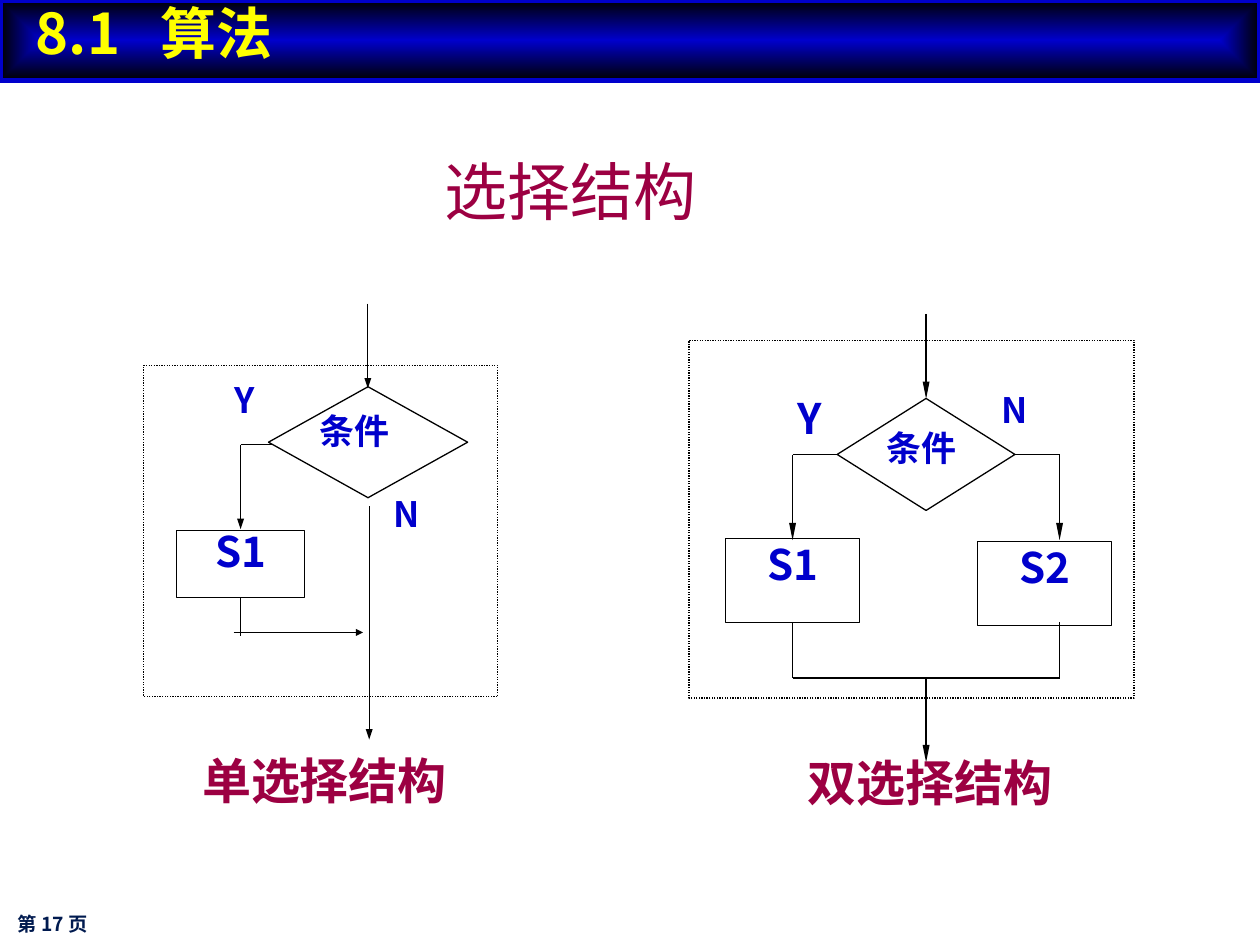
from dataclasses import dataclass
from lxml.etree import SubElement
from pptx import Presentation
from pptx.dml.color import RGBColor
from pptx.enum.dml import MSO_LINE
from pptx.enum.shapes import MSO_CONNECTOR, MSO_SHAPE
from pptx.enum.text import MSO_ANCHOR, PP_ALIGN
from pptx.oxml.ns import qn
from pptx.util import Pt


@dataclass(frozen=True)
class Theme:
    sans: str = "Noto Sans CJK SC"
    head: str = "Noto Sans CJK JP"
    blue: str = "0000CC"
    wine: str = "9C0042"
    navy: str = "001A4F"
    gold: str = "FFFF00"
    black: str = "000000"
    small: int = 11
    label: int = 20
    step: int = 24
    note: int = 28
    bar: int = 32
    title: int = 36
    thin: float = 0.75
    lead: float = 0.9


class Board:
    def __init__(self, slide, theme):
        self.slide = slide
        self.theme = theme

    def letter(self, shape, text, size, color, bold=True, center=False,
               pad=(0, 0), anchor=MSO_ANCHOR.TOP, font=None, tab=None):
        frame = shape.text_frame
        frame.word_wrap = True
        frame.vertical_anchor = anchor
        frame.margin_left = frame.margin_right = Pt(pad[0])
        frame.margin_top = frame.margin_bottom = Pt(pad[1])
        frame.text = text
        para = frame.paragraphs[0]
        para.alignment = PP_ALIGN.CENTER if center else PP_ALIGN.LEFT
        para.line_spacing = self.theme.lead
        if tab:
            stops = SubElement(para._p.get_or_add_pPr(), qn("a:tabLst"))
            SubElement(stops, qn("a:tab"), pos=str(Pt(tab)), algn="l")
        name = font or self.theme.sans
        for run in para.runs:
            run.font.name = name
            run.font.size = Pt(size)
            run.font.bold = bold
            run.font.color.rgb = RGBColor.from_string(color)
            SubElement(run._r.get_or_add_rPr(), qn("a:ea"), typeface=name)

    def text(self, box, text, size, color, **look):
        shape = self.slide.shapes.add_textbox(*map(Pt, box))
        self.letter(shape, text, size, color, **look)

    def shape(self, kind, box, color, width):
        shape = self.slide.shapes.add_shape(kind, *map(Pt, box))
        shape.shadow.inherit = False
        shape.fill.background()
        shape.line.color.rgb = RGBColor.from_string(color)
        shape.line.width = Pt(width)
        return shape

    def node(self, kind, box, text, size, **look):
        shape = self.shape(kind, box, self.theme.black, self.theme.thin)
        self.letter(shape, text, size, self.theme.blue, **look)

    def frame(self, box):
        shape = self.shape(MSO_SHAPE.RECTANGLE, box, self.theme.black, self.theme.thin)
        shape.line.dash_style = MSO_LINE.ROUND_DOT

    def line(self, x1, y1, x2, y2, head=None, width=None):
        link = self.slide.shapes.add_connector(
            MSO_CONNECTOR.STRAIGHT, Pt(x1), Pt(y1), Pt(x2), Pt(y2))
        link.line.color.rgb = RGBColor.from_string(self.theme.black)
        link.line.width = Pt(width or self.theme.thin)
        if head:
            SubElement(link.line._get_or_add_ln(), qn("a:tailEnd"),
                       type="triangle", w="sm", len=head)
        SubElement(link._element.spPr, qn("a:effectLst"))

    def banner(self, box, text):
        look = self.theme
        shape = self.shape(MSO_SHAPE.RECTANGLE, box, look.blue, 3)
        shape.fill.gradient()
        for place, color in enumerate((look.blue, look.black)):
            stop = shape.fill.gradient_stops[place]
            stop.color.rgb = RGBColor.from_string(color)
            stop.position = place
        grad = shape._element.spPr.find(qn("a:gradFill"))
        grad.remove(grad.find(qn("a:lin")))
        core = SubElement(grad, qn("a:path"), path="rect")
        SubElement(core, qn("a:fillToRect"), l="50000", t="50000", r="50000", b="50000")
        self.letter(shape, text, look.bar, look.gold, pad=(20.5, 3.6),
                    font=look.head, tab=71.5)


def double(board):
    look = board.theme
    mid, half, side = 529.2, 50.8, 76.3
    board.frame((393.8, 194.4, 254.2, 204.5))
    board.line(mid, 179.3, mid, 228, "lg")
    board.node(MSO_SHAPE.FLOWCHART_DECISION, (mid - half, 227.7, 2 * half, 64),
               "条件", look.label, pad=(2.9, 2.9))
    steps = ((-1, "S1", 414.6, 307.6), (1, "S2", 558.6, 309.4))
    for sign, text, left, top in steps:
        end = mid + sign * side
        board.line(mid + sign * half, 259.8, end, 259.8)
        board.line(end, 259.8, end, 308.7, "lg")
        board.node(MSO_SHAPE.RECTANGLE, (left, top, 76.5, 48), text, look.step,
                   center=True, pad=(7.2, 3.6))
        board.line(end, 355.7, end, 387.4)
    board.line(mid - side, 387.4, mid + side, 387.4)
    board.line(mid, 387.4, mid, 435.6, "lg")
    board.text((455.8, 227.5, 22.3, 29.5), "Y", look.step, look.blue)
    board.text((572.4, 224.6, 27.4, 32.4), "N", look.label, look.blue)
    board.text((448, 433.4, 167, 38.2), "双选择结构", look.note, look.wine,
               center=True, pad=(1.4, 0.7))


def single(board):
    look = board.theme
    mid, end = 210.2, 137.5
    board.frame((82.1, 208.8, 202.3, 189.4))
    board.line(mid, 173.5, mid, 222, "med")
    board.node(MSO_SHAPE.FLOWCHART_DECISION, (153.4, 221, 113.8, 63.4),
               "条件", look.label, pad=(0.7, 0))
    board.line(mid + 0.8, 289.4, mid + 0.8, 422.6, "med")
    board.line(end, 254.2, 155.5, 254.2)
    board.line(end, 254.2, end, 302.4, "med")
    board.node(MSO_SHAPE.RECTANGLE, (100.8, 303.1, 73.4, 38.4), "S1", look.step,
               center=True, pad=(1.4, 0.7))
    board.line(end, 341.8, end, 363.6)
    board.line(133.5, 361.4, 207.4, 361.4, "sm", 1)
    board.text((133.9, 218.9, 22.3, 31.7), "Y", look.label, look.blue)
    board.text((224.6, 284.4, 27.4, 24.5), "N", look.label, look.blue)
    board.text((104.4, 432, 162, 41.8), "单选择结构", look.note, look.wine,
               center=True, pad=(1.4, 0.7))


def main():
    deck = Presentation()
    deck.slide_width, deck.slide_height = Pt(720), Pt(540)
    look = Theme()
    board = Board(deck.slides.add_slide(deck.slide_layouts[6]), look)
    board.text((2.9, 514.8, 192.2, 27.4), "第 17 页", look.small, look.navy,
               pad=(7.2, 3.6), anchor=MSO_ANCHOR.MIDDLE)
    board.text((247, 88.6, 210.2, 50.4), "选择结构", look.title, look.wine,
               bold=False, pad=(7.2, 3.6))
    double(board)
    single(board)
    board.banner((0, 0, 720, 46.1), "8.1\t算法")
    deck.save("out.pptx")


if __name__ == "__main__":
    main()
